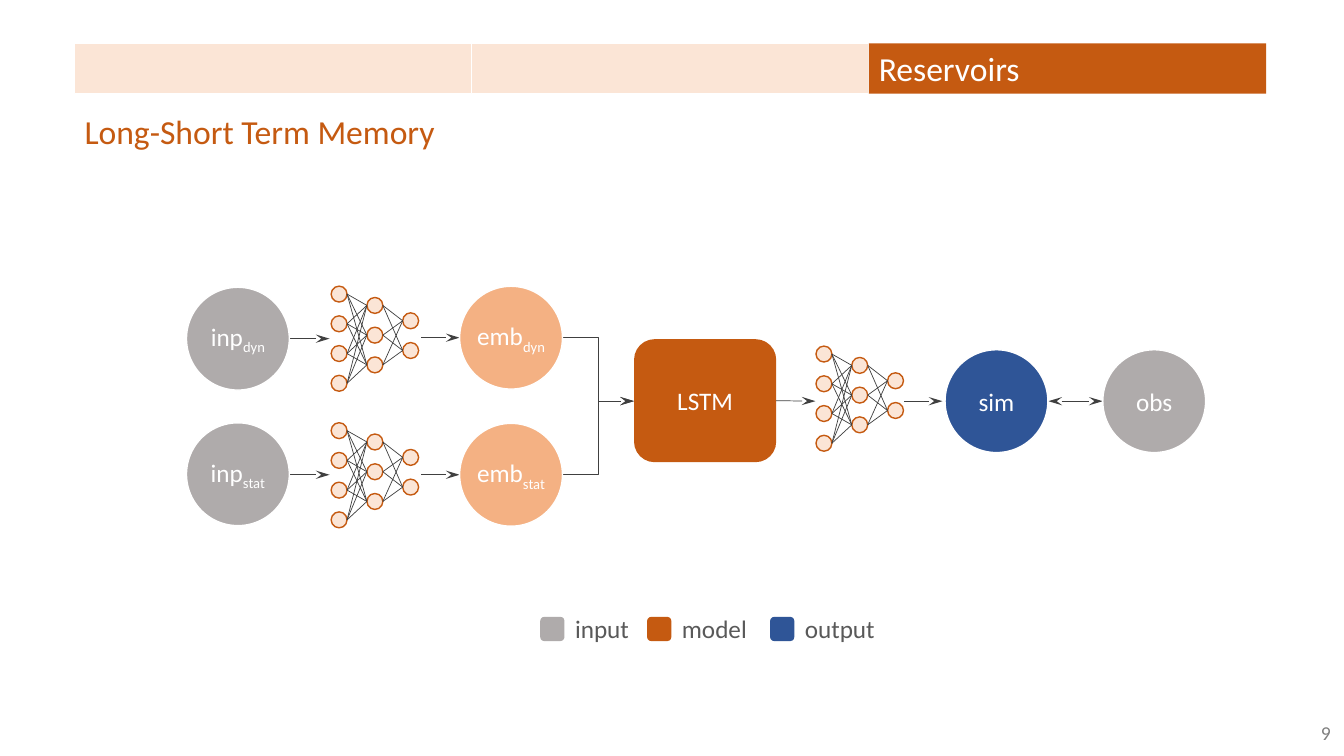
from dataclasses import dataclass

from lxml import etree
from pptx import Presentation
from pptx.dml.color import RGBColor
from pptx.enum.shapes import MSO_CONNECTOR, MSO_SHAPE
from pptx.enum.text import MSO_ANCHOR, PP_ALIGN
from pptx.oxml.ns import qn
from pptx.util import Inches, Pt

OVAL, RECT, ROUND = MSO_SHAPE.OVAL, MSO_SHAPE.RECTANGLE, MSO_SHAPE.ROUNDED_RECTANGLE
STRAIGHT, ELBOW = MSO_CONNECTOR.STRAIGHT, MSO_CONNECTOR.ELBOW
LEFT, CENTER, RIGHT = PP_ALIGN.LEFT, PP_ALIGN.CENTER, PP_ALIGN.RIGHT
MIDDLE = MSO_ANCHOR.MIDDLE

WHITE = RGBColor(0xFF, 0xFF, 0xFF)
ORANGE = RGBColor(0xC5, 0x5A, 0x11)
PEACH = RGBColor(0xF4, 0xB1, 0x83)
PALE = RGBColor(0xFB, 0xE5, 0xD6)
GREY = RGBColor(0xAF, 0xAB, 0xAB)
BLUE = RGBColor(0x2F, 0x55, 0x97)
DARK = RGBColor(0x40, 0x40, 0x40)
LABEL = RGBColor(0x59, 0x59, 0x59)
PAGE = RGBColor(0x80, 0x80, 0x80)

# Grid of square cells; all lengths below are columns and rows
CELL = Inches(0.1)
COLS, ROWS = 133.33, 75
DYN, MAIN, STAT = 33.5, 39.8, 47.1  # centre rows of the three lanes
CIRCLE = 10.2
NEURON, LAYER_STEP, NEURON_STEP = 1.58, 3.55, 2.95
LAYERS = ((4, 0), (3, -0.35), (2, -0.3))  # neurons, vertical shift


@dataclass
class Node:
    text: str
    sub: str
    x: float
    mid: float
    fill: RGBColor


@dataclass
class Arrow:
    x1: float
    x2: float
    y: float


@dataclass
class Key:
    text: str
    x: float
    width: float
    fill: RGBColor


NODES = [
    Node("inp", "dyn", 18.5, 33.6, GREY),
    Node("inp", "stat", 18.5, 47.05, GREY),
    Node("emb", "dyn", 45.6, DYN, PEACH),
    Node("emb", "stat", 45.6, STAT, PEACH),
    Node("sim", "", 93.75, MAIN, BLUE),
    Node("obs", "", 109.4, MAIN, GREY),
]
NETWORKS = [(32.85, 33.6), (32.85, 47.15), (80.95, 39.55)]
ARROWS = [
    Arrow(28.8, 32.7, 33.6), Arrow(28.7, 32.7, STAT),
    Arrow(41.8, 45.6, DYN), Arrow(41.8, 45.6, STAT),
    Arrow(89.7, 93.5, MAIN),
]
KEYS = [
    Key("input", 53.6, 7.6, GREY),
    Key("model", 64.2, 9.6, ORANGE),
    Key("output", 76.4, 9.6, BLUE),
]
TABS = [("", PALE), ("", PALE), ("Reservoirs", ORANGE)]


def cells(*values: float) -> list[int]:
    return [round(v * CELL) for v in values]


def put_text(sp, text: str, *, sub: str = "", size: float = 18, color: RGBColor = WHITE,
             align=LEFT, inset: bool = False) -> None:
    tf = sp.text_frame
    tf.word_wrap = True
    tf.vertical_anchor = MIDDLE
    if not inset:
        tf.margin_left = tf.margin_right = tf.margin_top = tf.margin_bottom = 0
    p = tf.paragraphs[0]
    p.alignment = align
    for part in filter(None, (text, sub)):
        r = p.add_run()
        r.text = part
        r.font.name, r.font.size = "Calibri", Pt(size)
        r.font.color.rgb = color
    if sub:
        r.font._element.set("baseline", "-25000")


def add_box(shapes, kind, x: float, y: float, w: float, h: float,
            fill: RGBColor | None = None, line: RGBColor | None = None):
    sp = shapes.add_shape(kind, *cells(x, y, w, h))
    sp.shadow.inherit = False
    if fill is None:
        sp.fill.background()
    else:
        sp.fill.solid()
        sp.fill.fore_color.rgb = fill
    if line is None:
        sp.line.fill.background()
    else:
        sp.line.color.rgb, sp.line.width = line, Pt(1)
    return sp


def add_label(shapes, text: str, x: float, y: float, w: float, h: float, **fmt) -> None:
    put_text(shapes.add_textbox(*cells(x, y, w, h)), text, inset=True, **fmt)


def add_line(shapes, x1: float, y1: float, x2: float, y2: float, *, kind=STRAIGHT,
             head: bool = False, tail: bool = False):
    cxn = shapes.add_connector(kind, *cells(x1, y1, x2, y2))
    cxn.line.color.rgb, cxn.line.width = DARK, Pt(0.5)
    ln = cxn.line._get_or_add_ln()
    for tag, shown in (("a:headEnd", head), ("a:tailEnd", tail)):
        if shown:
            etree.SubElement(ln, qn(tag), type="stealth", w="med", len="lg")
    etree.SubElement(cxn._element.spPr, qn("a:effectLst"))
    return cxn


def add_network(shapes, x: float, mid: float) -> None:
    group = shapes.add_group_shape().shapes
    layers = []
    for i, (count, shift) in enumerate(LAYERS):
        left = x + i * LAYER_STEP
        centres = [mid + shift + (j - (count - 1) / 2) * NEURON_STEP for j in range(count)]
        layers.append((left, centres))
        for y in centres:
            add_box(group, OVAL, left, y - NEURON / 2, NEURON, NEURON, PALE, ORANGE)
    for (left, starts), (right, ends) in zip(layers, layers[1:]):
        for y1 in starts:
            for y2 in ends:
                add_line(group, left + NEURON, y1, right, y2)


def main() -> None:
    prs = Presentation()
    prs.slide_width, prs.slide_height = cells(COLS, ROWS)
    shapes = prs.slides.add_slide(prs.slide_layouts[6]).shapes

    # Header tabs, title and page number
    for i, (text, fill) in enumerate(TABS):
        line = WHITE if fill == PALE else None
        tab = add_box(shapes, RECT, 7.4 + i * 39.4, 4.3, 39.4, 5, fill, line)
        if text:
            put_text(tab, text, size=24, inset=True)
    add_label(shapes, "Long-Short Term Memory", 7.4, 10.55, 42.8, 5, size=24, color=ORANGE)
    add_label(shapes, "9", 129, 70.7, 4, 4, size=14, color=PAGE, align=RIGHT)

    # Networks and arrows
    for x, mid in NETWORKS:
        add_network(shapes, x, mid)
    for a in ARROWS:
        add_line(shapes, a.x1, a.y, a.x2, a.y, tail=True)
    for lane in (DYN, STAT):
        add_line(shapes, 55.8, lane, 62.9, MAIN, kind=ELBOW, tail=True)
    add_line(shapes, 104, MAIN, 109.4, MAIN, head=True, tail=True)

    # Model block
    lstm = add_box(shapes, ROUND, 62.9, MAIN - 6.15, 14.1, 12.2, ORANGE)
    put_text(lstm, "LSTM", align=CENTER)
    add_line(shapes, 77, MAIN, 80.9, MAIN, tail=True).begin_connect(lstm, 3)

    # Inputs, embeddings and outputs
    for n in NODES:
        sp = add_box(shapes, OVAL, n.x, n.mid - CIRCLE / 2, CIRCLE, CIRCLE, n.fill, WHITE)
        put_text(sp, n.text, sub=n.sub, align=CENTER)

    # Legend
    for k in KEYS:
        add_box(shapes, ROUND, k.x, 61.2, 2.4, 2.4, k.fill)
        label = add_box(shapes, ROUND, k.x + 3.3, 60.8, k.width, 3.1)
        put_text(label, k.text, color=LABEL)

    prs.save("out.pptx")


if __name__ == "__main__":
    main()
